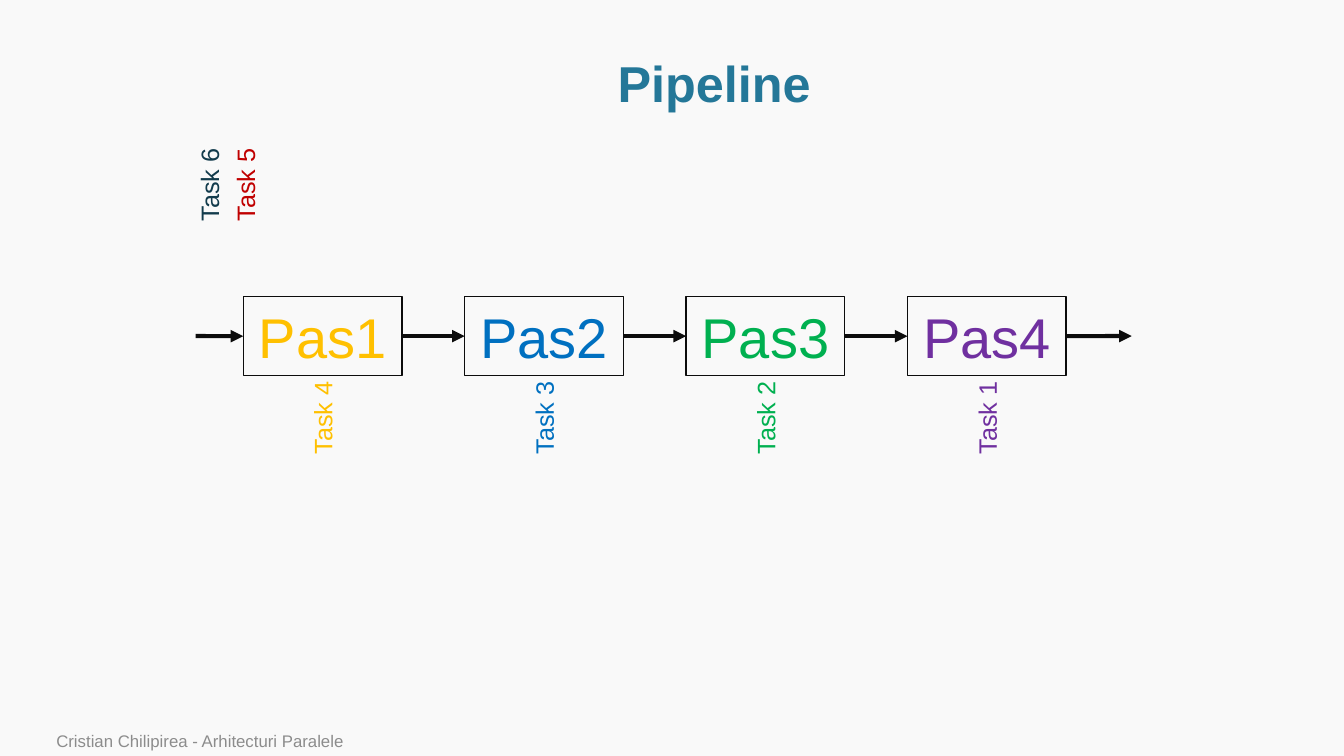
from lxml import etree
from pptx import Presentation
from pptx.dml.color import RGBColor
from pptx.enum import shapes, text
from pptx.oxml.ns import qn
from pptx.util import Cm, Pt

TITLE = "Pipeline"
FOOTER = "Cristian Chilipirea - Arhitecturi Paralele"
STEPS = [  # step, task in it, colour
    ("Pas1", "Task 4", "gold"),
    ("Pas2", "Task 3", "blue"),
    ("Pas3", "Task 2", "green"),
    ("Pas4", "Task 1", "purple"),
]
QUEUE = [("Task 5", "red"), ("Task 6", "navy")]
HEX = {
    "back": "F9F9F9", "title": "247798", "ink": "0C0C0C", "grey": "8C8C8C",
    "gold": "FFC000", "blue": "0070C0", "green": "00B050", "purple": "7030A0",
    "red": "C00000", "navy": "123B4C",
}

# Lengths in centimetres
BOX_X, BOX_Y, BOX_W, BOX_H = 6.13, 7.47, 4, 2
PITCH = 5.58
MID_Y = BOX_Y + BOX_H / 2
START_X, END_X = 4.93, 28.52
TASK_W, TASK_H, TASK_Y = 2.36, 1.02, 10.52
QUEUE_X, QUEUE_Y, QUEUE_GAP = 6.18, 4.65, 0.91


def tint(name):
    return RGBColor.from_string(HEX[name])


def write(shape, words, size, color, align, anchor, bold=False):
    frame = shape.text_frame
    frame.vertical_anchor = anchor
    para = frame.paragraphs[0]
    para.alignment = align
    run = para.add_run()
    run.text = words
    font = run.font
    font.name, font.size, font.bold = "Arial", Pt(size), bold
    font.color.rgb = tint(color)
    return para


def add_step(slide, left, words, color):
    box = slide.shapes.add_shape(shapes.MSO_SHAPE.RECTANGLE, Cm(left),
                                 Cm(BOX_Y), Cm(BOX_W), Cm(BOX_H))
    box.shadow.inherit = False
    box.fill.background()
    box.line.color.rgb = tint("ink")
    box.line.width = Pt(1)
    write(box, words, 40, color, text.PP_ALIGN.CENTER, text.MSO_ANCHOR.MIDDLE)
    return box


def add_task(slide, mid_x, mid_y, words, color):
    """Add a label that reads upwards, centred on the given point."""
    label = slide.shapes.add_textbox(Cm(mid_x - TASK_W / 2), Cm(mid_y - TASK_H / 2),
                                     Cm(TASK_W), Cm(TASK_H))
    label.rotation = 270
    label.text_frame.word_wrap = False
    label.text_frame.auto_size = text.MSO_AUTO_SIZE.SHAPE_TO_FIT_TEXT
    write(label, words, 18, color, text.PP_ALIGN.LEFT, text.MSO_ANCHOR.TOP)


def add_arrow(slide, before, after):
    """Join two boxes; None stands for an open end of the pipeline."""
    arrow = slide.shapes.add_connector(shapes.MSO_CONNECTOR.STRAIGHT, Cm(START_X),
                                       Cm(MID_Y), Cm(END_X), Cm(MID_Y))
    if before is not None:
        arrow.begin_connect(before, 3)
    if after is not None:
        arrow.end_connect(after, 1)
    arrow.line.color.rgb = tint("ink")
    arrow.line.width = Pt(3)
    etree.SubElement(arrow.line._get_or_add_ln(), qn("a:tailEnd"), type="triangle")
    etree.SubElement(arrow._element.spPr, qn("a:effectLst"))


def main():
    deck = Presentation()
    deck.slide_width, deck.slide_height = Cm(33.87), Cm(19.05)
    slide = deck.slides.add_slide(deck.slide_layouts[5])
    slide.background.fill.solid()
    slide.background.fill.fore_color.rgb = tint("back")

    title = slide.shapes.title
    title.left, title.top, title.width, title.height = Cm(2.9), Cm(1.3), Cm(30.2), Cm(1.75)
    para = write(title, TITLE, 36, "title", text.PP_ALIGN.CENTER,
                 text.MSO_ANCHOR.MIDDLE, bold=True)
    para.line_spacing = 0.9

    boxes = []
    for i, (step, task, color) in enumerate(STEPS):
        left = BOX_X + i * PITCH
        boxes.append(add_step(slide, left, step, color))
        add_task(slide, left + BOX_W / 2, TASK_Y, task, color)
    for before, after in zip([None] + boxes, boxes + [None]):
        add_arrow(slide, before, after)
    for i, (task, color) in enumerate(QUEUE):
        add_task(slide, QUEUE_X - i * QUEUE_GAP, QUEUE_Y, task, color)

    footer = slide.shapes.add_textbox(Cm(1.17), Cm(18.34), Cm(24.94), Cm(0.71))
    footer.text_frame.word_wrap = True
    write(footer, FOOTER, 12, "grey", text.PP_ALIGN.LEFT, text.MSO_ANCHOR.BOTTOM)
    deck.save("out.pptx")


if __name__ == "__main__":
    main()
